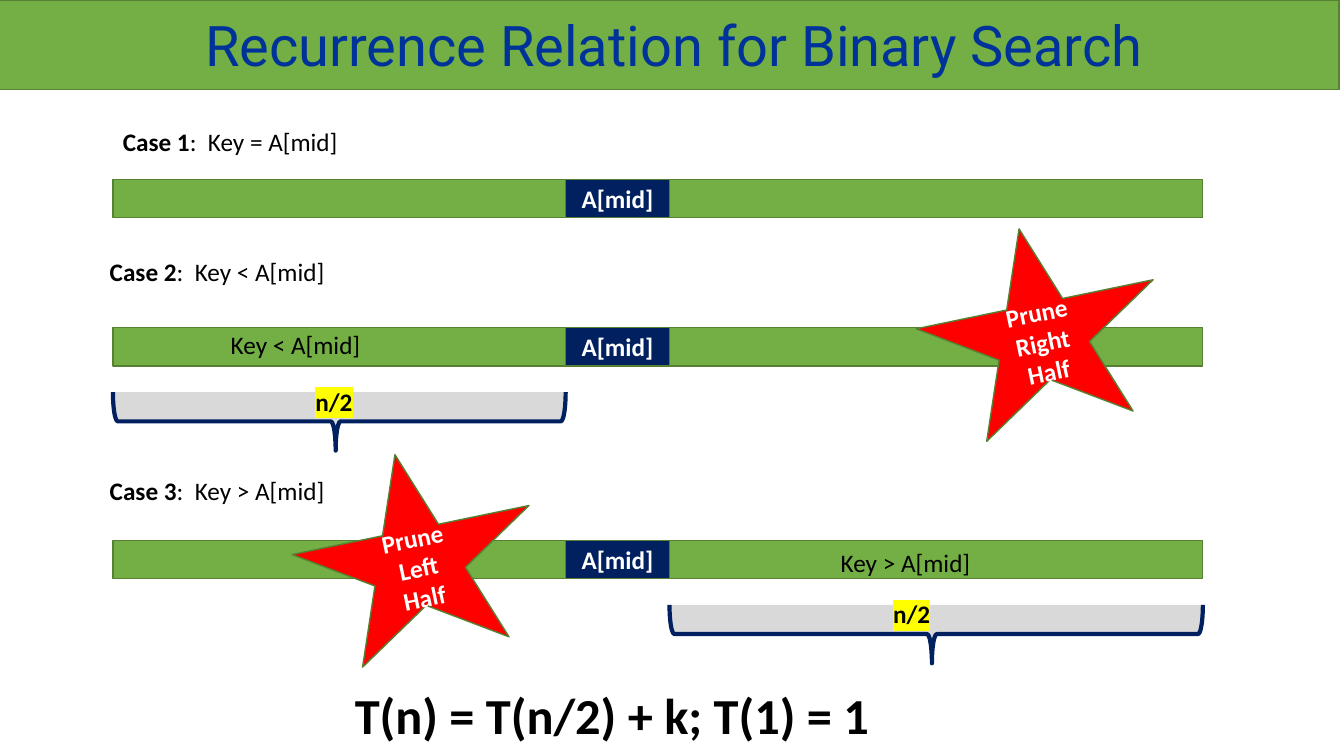
from dataclasses import dataclass

from lxml import etree
from pptx import Presentation
from pptx.dml.color import RGBColor
from pptx.enum.shapes import MSO_SHAPE as SHAPE
from pptx.enum.text import MSO_ANCHOR as ANCHOR, MSO_AUTO_SIZE as FIT, PP_ALIGN as ALIGN
from pptx.oxml.ns import qn
from pptx.util import Inches, Pt


@dataclass(frozen=True)
class Theme:
    green: str = "74AF45"
    edge: str = "568133"
    navy: str = "002060"
    gray: str = "D9D9D9"
    red: str = "FF0000"
    yellow: str = "FFFF00"
    title: str = "003399"
    black: str = "000000"
    white: str = "FFFFFF"
    font: str = "Calibri"
    title_font: str = "Roboto"
    body_size: int = 18
    formula_size: int = 36
    title_size: int = 40


T = Theme()
BAR_W, BAR_H = 10.81, 0.38
MID_X, MID_W = 4.49, 1.03  # the middle cell, measured from the bar's left
BRACE_H = 0.58


def write(p, text, size=T.body_size, color=T.black, bold=False, font=T.font, highlight=None):
    """Add one formatted run to a paragraph."""
    r = p.add_run()
    r.text = text
    r.font.size, r.font.bold = Pt(size), bold
    r.font.color.rgb = RGBColor.from_string(color)
    if highlight:
        hl = etree.SubElement(r._r.get_or_add_rPr(), qn("a:highlight"))
        etree.SubElement(hl, qn("a:srgbClr")).set("val", highlight)
    r.font.name = font


def add_text(slide, x, y, w, h, *parts, align=ALIGN.LEFT):
    """Add a text box; each part is a (text, format) pair."""
    tf = slide.shapes.add_textbox(Inches(x), Inches(y), Inches(w), Inches(h)).text_frame
    tf.word_wrap = True
    tf.auto_size = FIT.SHAPE_TO_FIT_TEXT
    p = tf.paragraphs[0]
    p.alignment = align
    for text, fmt in parts:
        write(p, text, **fmt)


def add_block(slide, kind, x, y, w, h, fill, line=T.edge, width=1, text=None):
    """Add a filled preset shape, with bold centred text if given."""
    sp = slide.shapes.add_shape(kind, Inches(x), Inches(y), Inches(w), Inches(h))
    sp.shadow.inherit = False
    sp.fill.solid()
    sp.fill.fore_color.rgb = RGBColor.from_string(fill)
    sp.line.color.rgb = RGBColor.from_string(line)
    sp.line.width = Pt(width)
    if text:
        tf = sp.text_frame
        tf.word_wrap = True
        tf.vertical_anchor = ANCHOR.MIDDLE
        p = tf.paragraphs[0]
        p.alignment = ALIGN.CENTER
        write(p, text, color=T.white, bold=True)
    return sp


def title_band(slide, x, y, w, h):
    add_block(slide, SHAPE.RECTANGLE, x, y, w, h, T.green)
    title = ("Recurrence Relation for Binary Search",
             dict(size=T.title_size, color=T.title, font=T.title_font))
    add_text(slide, x + 0.07, y + 0.06, w, 0.77, title, align=ALIGN.CENTER)


def array_bar(slide, x, y):
    add_block(slide, SHAPE.RECTANGLE, x, y, BAR_W, BAR_H, T.green)
    add_block(slide, SHAPE.RECTANGLE, x + MID_X, y, MID_W, BAR_H, T.navy, text="A[mid]")


def kept_half(slide, x, y, w, label, label_at, size_at):
    """Brace and labels under the kept half, whose bar starts at x, y."""
    # The brace is drawn upright about its centre, then turned to point down
    cx, cy = x + w / 2, y + 0.64 + BRACE_H / 2
    brace = add_block(slide, SHAPE.LEFT_BRACE, cx - BRACE_H / 2, cy - w / 2,
                      BRACE_H, w, T.gray, T.navy, 3)
    brace.rotation = 270
    brace.adjustments[0], brace.adjustments[1] = 0.083, 0.492
    add_text(slide, x + label_at[0], y + label_at[1], 3.42, 0.4, (label, {}))
    add_text(slide, x + size_at, y + 0.53, 1.19, 0.4,
             ("n/2", dict(bold=True, highlight=T.yellow)))


def case_heading(slide, x, y, number, condition):
    add_text(slide, x, y, 3.23, 0.4, (f"Case {number}", dict(bold=True)),
             (f":  {condition}", {}))


def prune_star(slide, x, y, side):
    star = add_block(slide, SHAPE.STAR_5_POINT, x, y, 2.4, 2, T.red, text=f"Prune {side} Half")
    star.rotation = 348.3


def build_slide(prs):
    slide = prs.slides.add_slide(prs.slide_layouts[6])
    title_band(slide, -0.05, 0, 13.33, 0.89)

    # Recurrence formula
    add_text(slide, 3.42, 6.74, 6.88, 0.71,
             ("T(n) = T(n/2) + k; T(1) = 1", dict(size=T.formula_size, bold=True)))

    # Array bars and the halves that remain
    bar_x, right_x = 1.12, 1.12 + MID_X + MID_W
    bar_tops = (1.78, 3.25, 5.36)
    for top in bar_tops:
        array_bar(slide, bar_x, top)
    kept_half(slide, bar_x, bar_tops[1], MID_X, "Key < A[mid]", (1.07, -0.03), 1.91)
    kept_half(slide, right_x, bar_tops[2], BAR_W - MID_X - MID_W,
              "Key > A[mid]", (1.6, 0.02), 2.12)

    # Case headings
    headings = ((1.12, 1.2, "="), (0.99, 2.49, "<"), (0.99, 4.67, ">"))
    for number, (x, y, sign) in enumerate(headings, 1):
        case_heading(slide, x, y, number, f"Key {sign} A[mid]")

    # Stars over the discarded halves
    prune_star(slide, 9.11, 2.25, "Right")
    prune_star(slide, 2.92, 4.49, "Left")


def main():
    prs = Presentation()
    prs.slide_width, prs.slide_height = Inches(13.33), Inches(7.5)
    build_slide(prs)
    prs.save("out.pptx")


if __name__ == "__main__":
    main()
